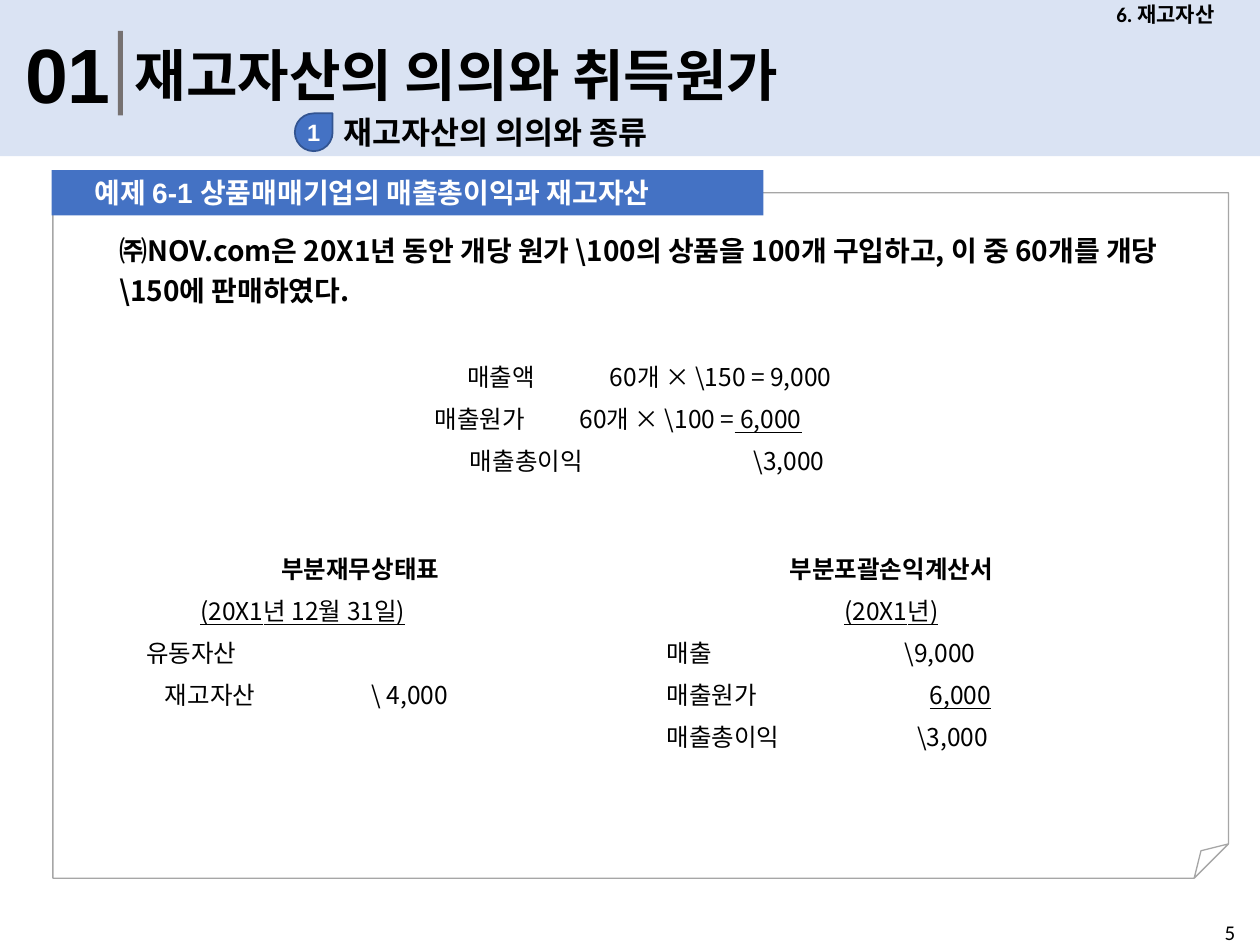
from dataclasses import dataclass

from lxml import etree
from pptx import Presentation, util as u
from pptx.dml.color import RGBColor
from pptx.enum import shapes, text
from pptx.oxml.ns import qn

SHAPE = shapes.MSO_SHAPE
ALIGN = text.PP_ALIGN
MID = text.MSO_ANCHOR.MIDDLE


@dataclass
class Theme:
    band: str = "DAE3F3"
    blue: str = "4472C4"
    edge: str = "325491"
    bar: str = "767171"
    frame: str = "A6A6A6"
    ink: str = "000000"
    white: str = "FFFFFF"
    latin: str = "Calibri"
    digit: str = "Arial"
    korean: str = "Noto Sans CJK KR"
    number: float = 44
    title: float = 32
    head: float = 18
    lead: float = 16
    body: float = 14
    badge: float = 13.5
    small: float = 12


class Deck:
    def __init__(self, theme):
        self.theme = theme
        self.file = Presentation()
        self.file.slide_width = u.Inches(10)
        self.file.slide_height = u.Inches(7.5)
        self.slide = self.file.slides.add_slide(self.file.slide_layouts[6])

    def shape(self, kind, box, fill=None, line=None, width=1, turn=0):
        item = self.slide.shapes.add_shape(kind, *map(u.Inches, box))
        item.shadow.inherit = False
        item.rotation = turn
        if fill:
            item.fill.solid()
            item.fill.fore_color.rgb = RGBColor.from_string(fill)
        else:
            item.fill.background()
        if line:
            item.line.color.rgb = RGBColor.from_string(line)
            item.line.width = u.Pt(width)
        else:
            item.line.fill.background()
        return item

    def fold(self, item, share):
        """Set the size of a folded corner as a share of the short side."""
        guides = next(item._element.iter(qn("a:avLst")))
        etree.SubElement(guides, qn("a:gd"), name="adj", fmla=f"val {round(share * 100000)}")

    def frame(self, item, inset=(0.1, 0.05), **style):
        frame = item.text_frame
        side, edge = map(u.Inches, inset)
        values = dict(word_wrap=True, margin_left=side, margin_right=side,
                      margin_top=edge, margin_bottom=edge,
                      vertical_anchor=text.MSO_ANCHOR.TOP)
        for name, value in {**values, **style}.items():
            setattr(frame, name, value)
        return frame

    def box(self, place, **style):
        return self.frame(self.slide.shapes.add_textbox(*map(u.Inches, place)), **style)

    def para(self, frame, runs, tabs=(), **style):
        """Fill the empty first paragraph, or add one; tabs are inches from the text edge."""
        first = frame.paragraphs[0]
        para = frame.add_paragraph() if first.runs else first
        for name, value in {"alignment": ALIGN.LEFT, **style}.items():
            setattr(para, name, value)
        if tabs:
            stops = etree.SubElement(para._p.get_or_add_pPr(), qn("a:tabLst"))
            for stop in tabs:
                etree.SubElement(stops, qn("a:tab"), pos=str(u.Inches(stop)), algn="l")
        for words, look in runs:
            self.run(para, words, **look)

    def run(self, para, words, color=None, **look):
        run = para.add_run()
        run.text = words
        values = dict(name=self.theme.latin, bold=True)
        for name, value in {**values, **look}.items():
            setattr(run.font, name, value)
        run.font.color.rgb = RGBColor.from_string(color or self.theme.ink)
        asian = etree.SubElement(run._r.get_or_add_rPr(), qn("a:ea"))
        asian.set("typeface", self.theme.korean)

    def label(self, place, words, size, name=None, align=ALIGN.LEFT, bold=True, **style):
        look = dict(size=u.Pt(size), name=name or self.theme.latin, bold=bold)
        self.para(self.box(place, **style), [(words, look)], alignment=align)

    def rows(self, frame, left, lines, gap=0):
        """Add 24 pt lines; stops are slide positions, runs starting with _ are underlined."""
        for index, (stops, runs, style) in enumerate(lines):
            looks = [(part.removeprefix("_"),
                      dict(name=self.theme.korean, size=u.Pt(self.theme.body),
                           bold=style.get("bold", False),
                           underline=part.startswith("_"))) for part in runs]
            space = {"space_before": u.Pt(gap)} if gap and index == 0 else {}
            self.para(frame, looks, [stop - left for stop in stops],
                      alignment=style.get("align", ALIGN.LEFT),
                      line_spacing=u.Pt(24), **space)


def header(deck):
    t = deck.theme
    deck.shape(SHAPE.RECTANGLE, (0, 0, 10, 1.24), t.band)
    deck.label((2.63, 0.85, 3.09, 0.4), "재고자산의 의의와 종류", t.head)
    badge = deck.shape(SHAPE.TEAR, (2.34, 0.9, 0.3, 0.3), t.blue, t.edge)
    frame = deck.frame(badge, inset=(0, 0), vertical_anchor=MID, word_wrap=False)
    deck.para(frame, [("1", dict(size=u.Pt(t.badge), name=t.digit, color=t.white))],
              alignment=ALIGN.CENTER)
    deck.label((0.1, 0.16, 0.91, 0.84), "01", t.number, t.digit)
    deck.shape(SHAPE.RECTANGLE, (0.62, 0.56, 0.67, 0.04), t.bar, turn=270)
    deck.label((0.97, 0.27, 6.42, 0.64), "재고자산의 의의와 취득원가", t.title)
    deck.label((8.5, 0, 1.5, 0.23), "6. 재고자산", t.small,
               align=ALIGN.CENTER, vertical_anchor=MID)


def panel(deck):
    t = deck.theme
    page = deck.shape(SHAPE.FOLDED_CORNER, (0.42, 1.53, 9.33, 5.44), line=t.frame, width=0.75)
    deck.fold(page, 0.05)
    banner = deck.shape(SHAPE.RECTANGLE, (0.41, 1.35, 5.65, 0.36), t.blue)
    frame = deck.frame(banner, inset=(0.34, 0.05), vertical_anchor=MID)
    parts = [("예제 ", t.latin), ("6-1 ", t.digit), ("상품매매기업의 매출총이익과 재고자산", t.latin)]
    deck.para(frame, [(words, dict(name=name, size=u.Pt(t.lead), color=t.white))
                      for words, name in parts])


def example(deck):
    t = deck.theme
    inset = (0.11, 0.05)
    plain, center = {}, {"align": ALIGN.CENTER}
    title = {"align": ALIGN.CENTER, "bold": True}

    frame = deck.box((0.84, 1.75, 8.67, 4.95), inset=inset)
    lead = "㈜NOV.com은 20X1년 동안 개당 원가 \\100의 상품을 100개 구입하고, 이 중 60개를 개당 \\150에 판매하였다."
    deck.para(frame, [(lead, dict(name=t.korean, size=u.Pt(t.lead)))], line_spacing=1.2)
    deck.rows(frame, 0.95, [
        ((3.71, 4.84), ["\t매출액\t60개 × \\150 = 9,000"], plain),
        ((3.45, 4.6, 6.68, 6.87, 6.95),
         ["\t매출원가\t60개 × \\100 =", "_ 6,000\t", "\t", "_\t"], plain),
        ((3.73, 5.98), ["\t매출총이익\t\\3,000"], plain),
    ], gap=24)

    frame = deck.box((0.83, 4.25, 4.06, 1.54), inset=inset)
    deck.rows(frame, 0.94, [
        ((), ["부분재무상태표"], title),
        ((1.59, 3.64), ["\t", "_(20X1년 12월 31일)\t"], plain),
        ((1.16,), ["\t유동자산"], plain),
        ((1.31, 2.95), ["\t재고자산\t\\ 4,000"], plain),
    ])

    frame = deck.box((4.81, 4.25, 4.53, 1.66), inset=inset)
    deck.rows(frame, 4.92, [
        ((), ["부분포괄손익계산서"], title),
        ((), ["_(20X1년)"], center),
        ((5.29, 7.18), ["\t매출\t\\9,000"], plain),
        ((5.29, 7.22, 7.38, 7.95, 8.04), ["\t매출원가\t", "_\t6,000", "\t", "_\t"], plain),
        ((5.29, 7.28), ["\t매출총이익\t\\3,000"], plain),
    ])


def main():
    deck = Deck(Theme())
    header(deck)
    panel(deck)
    example(deck)
    deck.label((9.62, 7.25, 0.38, 0.25), "5", deck.theme.small, bold=False)
    deck.file.save("out.pptx")


if __name__ == "__main__":
    main()
